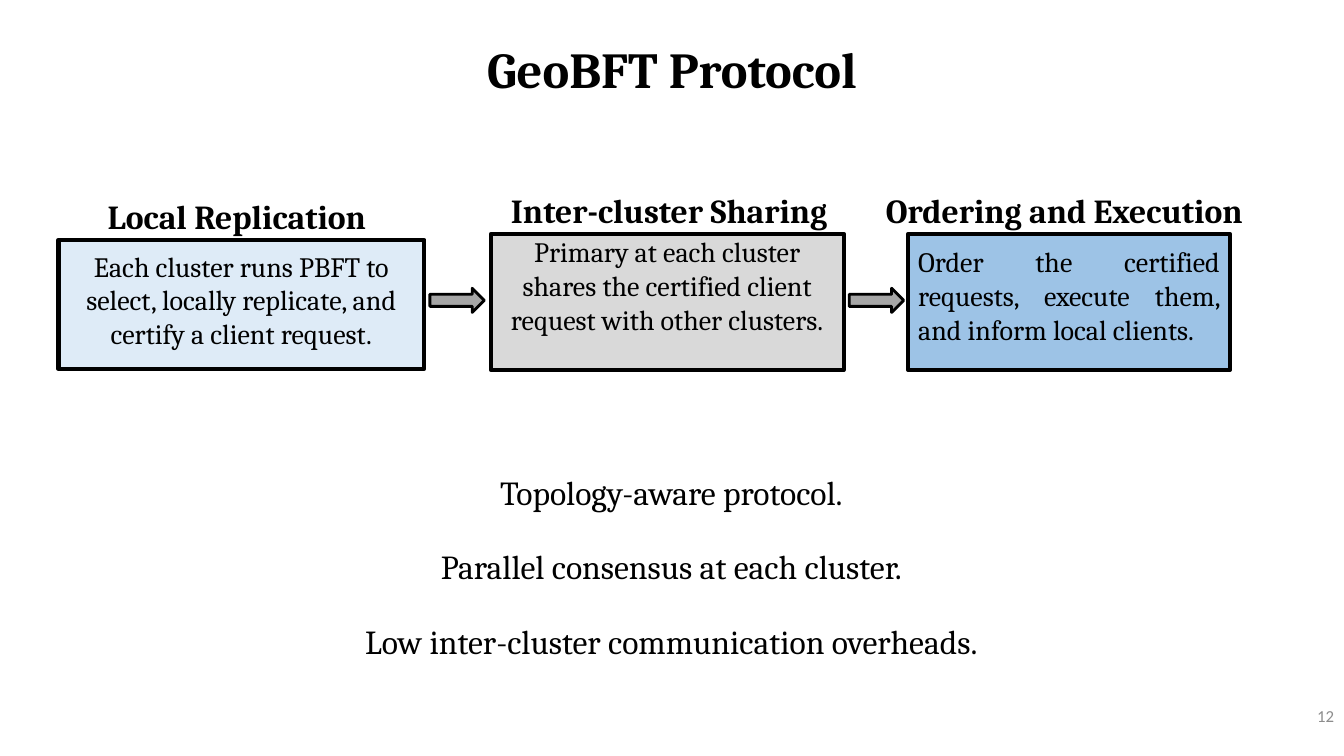
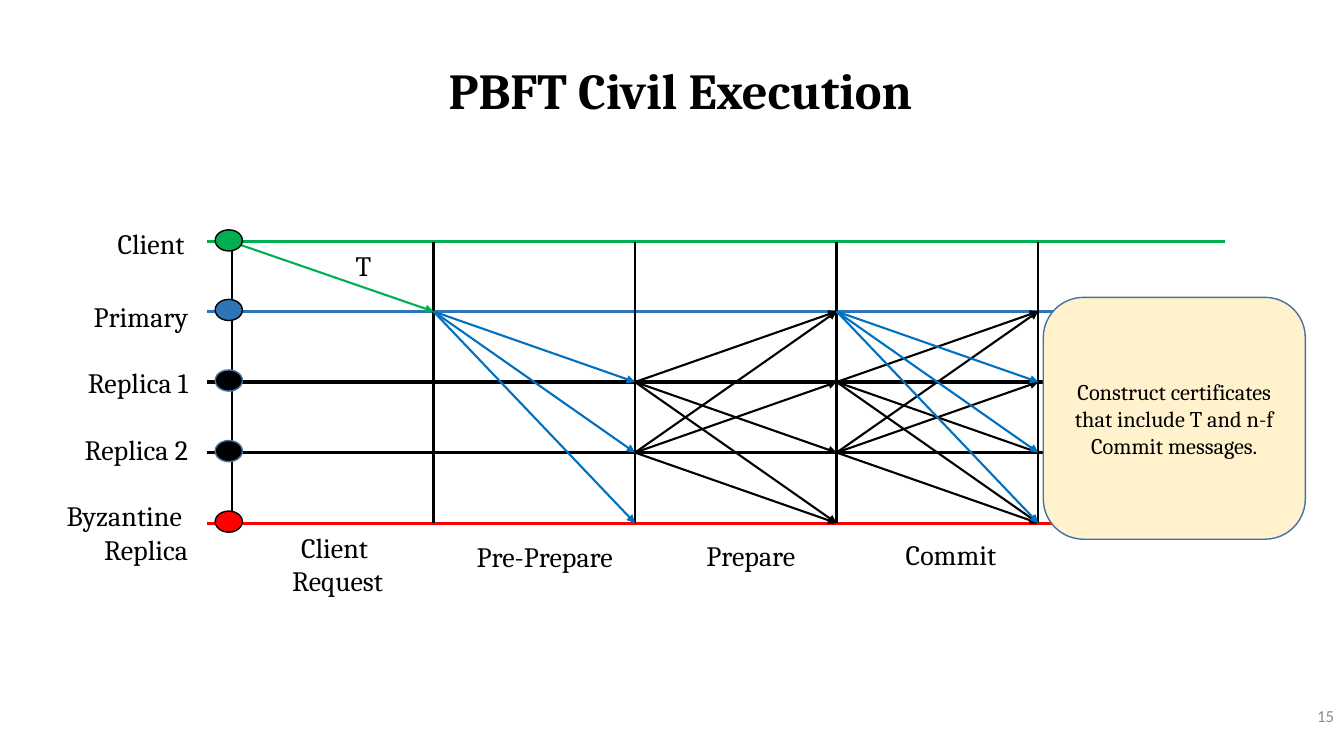
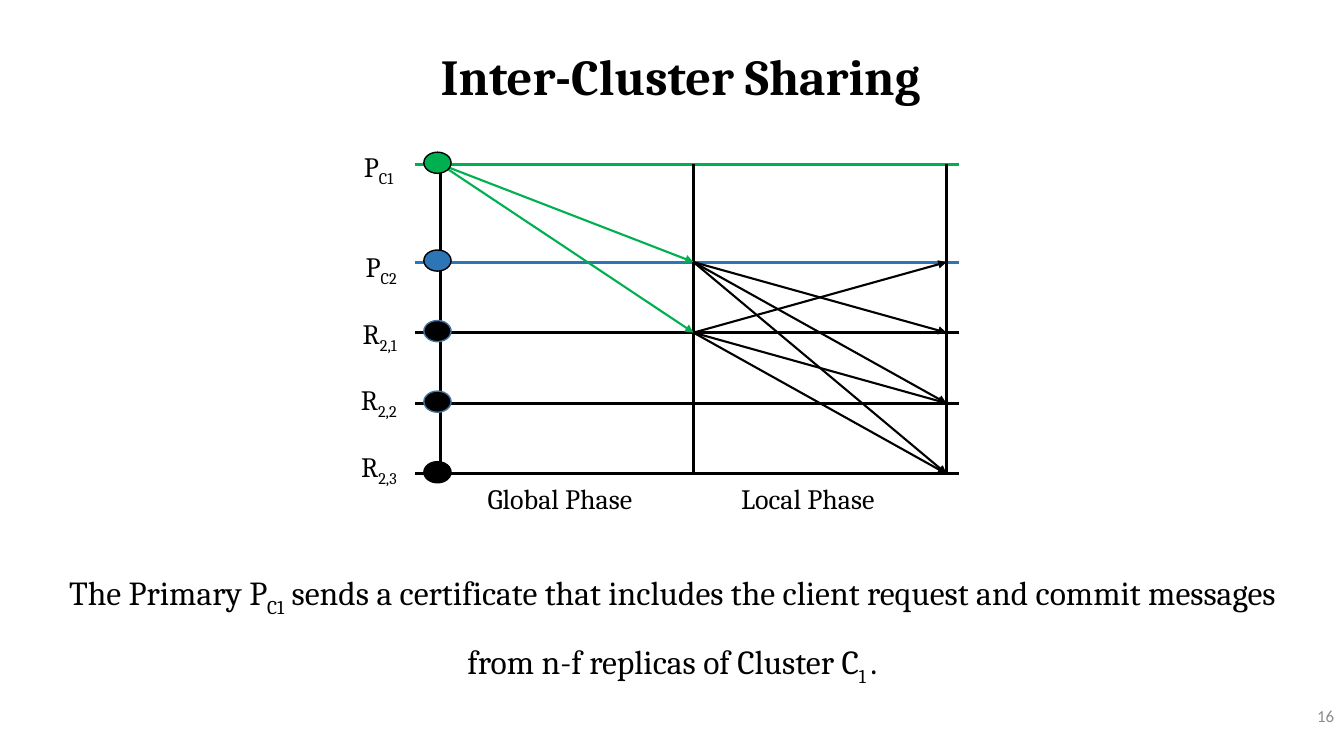
"""Build three slides on a geo-scale consensus protocol."""
from collections import namedtuple

from lxml import etree
from pptx import Presentation
from pptx.dml.color import RGBColor
from pptx.enum.shapes import MSO_CONNECTOR, MSO_SHAPE
from pptx.enum.text import MSO_ANCHOR, PP_ALIGN
from pptx.oxml.ns import qn
from pptx.util import Inches, Pt

BLACK = RGBColor(0x00, 0x00, 0x00)
GREEN = RGBColor(0x00, 0xB0, 0x50)
RED = RGBColor(0xFF, 0x00, 0x00)
LANE_BLUE = RGBColor(0x2E, 0x75, 0xB6)
MESSAGE_BLUE = RGBColor(0x00, 0x70, 0xC0)
OUTLINE_BLUE = RGBColor(0x43, 0x73, 0x9E)
PALE_BLUE = RGBColor(0xDE, 0xEB, 0xF7)
SKY_BLUE = RGBColor(0x9D, 0xC3, 0xE6)
LIGHT_GREY = RGBColor(0xD9, 0xD9, 0xD9)
ARROW_GREY = RGBColor(0xA6, 0xA6, 0xA6)
NUMBER_GREY = RGBColor(0x8C, 0x8C, 0x8C)
CREAM = RGBColor(0xFF, 0xF2, 0xCC)

LEFT, CENTER, RIGHT, JUSTIFY = PP_ALIGN.LEFT, PP_ALIGN.CENTER, PP_ALIGN.RIGHT, PP_ALIGN.JUSTIFY
TOP, MIDDLE = MSO_ANCHOR.TOP, MSO_ANCHOR.MIDDLE
RECTANGLE, ROUNDED = MSO_SHAPE.RECTANGLE, MSO_SHAPE.ROUNDED_RECTANGLE
ELLIPSE, ARROW = MSO_SHAPE.OVAL, MSO_SHAPE.RIGHT_ARROW
STRAIGHT = MSO_CONNECTOR.STRAIGHT

CELL = Inches(0.1)
COLUMNS, ROWS = 133.33, 75
LANE_STEP = 7
FIRST_PHASE = 2.5
LABEL_WIDTH, LABEL_HEIGHT = 20, 4.4
LABEL_RISES = (2, 1.7, 2.1, 2.5, 2.9)
LABEL_GAPS = (1.2, 0.85, 0.85, 0.85, 0.85)

BODY = {"name": "Cambria", "size": Pt(20)}
HEADING = {"name": "Cambria", "size": Pt(24), "bold": True}
TITLE = {"name": "Cambria", "size": Pt(36), "bold": True}
STATEMENT = {"name": "Cambria", "size": Pt(24)}
CALLOUT = {"name": "Cambria", "size": Pt(16)}
NUMBER = {"name": "Calibri", "size": Pt(12)}

Box = namedtuple("Box", "left top width height")
Lane = namedtuple("Lane", "label colour dot outline")
Phase = namedtuple("Phase", "label centre drop")
Broadcast = namedtuple("Broadcast", "phase sender receivers colour")
Stage = namedtuple("Stage", "heading text fill box indent inset align")


def cells(*counts):
    """Turn counts of grid cells into lengths."""
    return [int(CELL * count) for count in counts]


def apply(target, values):
    """Set each named attribute of the target."""
    for name, value in values.items():
        setattr(target, name, value)


def write(frame, lines, font, colour=BLACK, anchor=TOP, align=LEFT, spacing=1.0, gap=0):
    """Write lines as paragraphs; every second part between bars is a subscript."""
    apply(frame, {"word_wrap": True, "vertical_anchor": anchor})
    for index, line in enumerate(lines):
        para = frame.add_paragraph() if index else frame.paragraphs[0]
        apply(para, {"alignment": align, "line_spacing": spacing,
                     "space_before": Pt(gap if index else 0)})
        for order, part in enumerate(line.split("|")):
            span = para.add_run()
            span.text = part
            apply(span.font, font)
            span.font.color.rgb = colour
            if order % 2:
                span.font._element.set("baseline", "-25000")


def add_text(page, box, lines, font, **layout):
    """Add a text box with the given lines."""
    write(page.shapes.add_textbox(*cells(*box)).text_frame, lines, font, **layout)


def add_figure(page, kind, box, fill, outline=BLACK, weight=1):
    """Add a filled and outlined preset shape."""
    figure = page.shapes.add_shape(kind, *cells(*box))
    figure.shadow.inherit = False
    figure.fill.solid()
    figure.fill.fore_color.rgb = fill
    figure.line.color.rgb = outline
    figure.line.width = Pt(weight)
    return figure


def add_line(page, start, end, colour, weight, arrow=False):
    """Draw a straight line, with an arrowhead at its end on request."""
    line = page.shapes.add_connector(STRAIGHT, *cells(*start, *end))
    line.line.color.rgb = colour
    line.line.width = Pt(weight)
    if arrow:
        etree.SubElement(line.line._get_or_add_ln(), qn("a:tailEnd"), type="triangle")
    etree.SubElement(line._element.spPr, qn("a:effectLst"))


def add_page(deck, title, title_box, number, spacing):
    """Add a blank page with its title and page number."""
    page = deck.slides.add_slide(deck.slide_layouts[6])
    add_text(page, title_box, [title], TITLE, anchor=MIDDLE, align=CENTER, spacing=spacing)
    add_text(page, Box(COLUMNS - 17, 69, 17, 4), [str(number)], NUMBER,
             colour=NUMBER_GREY, anchor=MIDDLE, align=RIGHT)
    return page


def add_stage(page, stage):
    """Place one stage of the protocol with its heading above."""
    box = stage.box
    figure = add_figure(page, RECTANGLE, box, stage.fill, weight=3)
    figure.text_frame.margin_top = cells(stage.inset)[0]
    write(figure.text_frame, [stage.text], BODY, align=stage.align)
    add_text(page, Box(box.left + stage.indent, box.top - 4.85, 38.8, 5),
             [stage.heading], HEADING)


def add_diagram(page, box, first_gap, phase_step, lanes, phases, broadcasts):
    """Draw lanes, phase borders, messages and labels from the box's corner."""
    heights = [box.top] + [box.top + first_gap + LANE_STEP * index
                           for index in range(len(lanes) - 1)]
    borders = [box.left + FIRST_PHASE + phase_step * index
               for index in range(len(phases) + 1)]
    for lane, y, rise, gap in zip(lanes, heights, LABEL_RISES, LABEL_GAPS):
        add_line(page, (box.left, y), (box.left + box.width, y), lane.colour, 2.25)
        label_box = Box(box.left - gap - LABEL_WIDTH, y - rise, LABEL_WIDTH,
                        LABEL_HEIGHT * len(lane.label))
        add_text(page, label_box, lane.label, BODY, align=RIGHT)
    for x in borders:
        add_line(page, (x, heights[0]), (x, heights[-1]), BLACK, 1.75)
    for cast in broadcasts:
        for receiver in cast.receivers:
            if receiver != cast.sender:
                add_line(page, (borders[cast.phase], heights[cast.sender]),
                         (borders[cast.phase + 1], heights[receiver]),
                         cast.colour, 1.5, arrow=True)
    for phase in phases:
        label_box = Box(box.left + phase.centre - LABEL_WIDTH / 2,
                        heights[-1] + phase.drop, LABEL_WIDTH,
                        LABEL_HEIGHT * len(phase.label))
        add_text(page, label_box, phase.label, BODY, align=CENTER)
    for lane, y in zip(lanes, heights):
        add_figure(page, ELLIPSE, Box(box.left + 0.85, y - 1.2, 2.7, 2.1),
                   lane.dot, lane.outline)


def add_protocol_page(deck):
    """Show the three stages and the traits of the protocol."""
    page = add_page(deck, "GeoBFT Protocol", Box(0, 3.9, COLUMNS, 6.6), 12, 0.9)
    stages = [
        Stage("Local Replication",
              "Each cluster runs PBFT to select, locally replicate, and certify a client request.",
              PALE_BLUE, Box(5.8, 23.8, 36.3, 12.8), 3.9, 0.9, CENTER),
        Stage("Inter-cluster Sharing",
              "Primary at each cluster shares the certified client request with other clusters.",
              LIGHT_GREY, Box(48.7, 23.2, 35, 13.5), 1, 0.1, CENTER),
        Stage("Ordering and Execution",
              "Order the certified requests, execute them, and inform local clients.",
              SKY_BLUE, Box(90.1, 23.2, 31.9, 13.5), -3.2, 1.1, JUSTIFY),
    ]
    for stage in stages:
        add_stage(page, stage)
    for stage in stages[:-1]:
        right = stage.box.left + stage.box.width
        add_figure(page, ARROW, Box(right + 0.55, 28.6, 5.4, 2.4), ARROW_GREY, weight=2)
    traits = ["Topology-aware protocol.", "Parallel consensus at each cluster.",
              "Low inter-cluster communication overheads."]
    add_text(page, Box(3.4, 44.3, 126.4, 21.4), traits, STATEMENT,
             align=CENTER, spacing=1.5, gap=10)


def add_execution_page(deck):
    """Show the message flow of one PBFT round."""
    page = add_page(deck, "PBFT Civil Execution", Box(10, 4.4, 115, 7.8), 15, 1.2)
    lanes = [
        Lane(["Client"], GREEN, GREEN, BLACK),
        Lane(["Primary"], LANE_BLUE, LANE_BLUE, BLACK),
        Lane(["Replica 1"], BLACK, BLACK, OUTLINE_BLUE),
        Lane(["Replica 2"], BLACK, BLACK, OUTLINE_BLUE),
        Lane(["Byzantine ", "Replica"], RED, RED, BLACK),
    ]
    phases = [
        Phase(["Client ", "Request"], 13, 0.2),
        Phase(["Pre-Prepare "], 33.85, 1.1),
        Phase(["Prepare "], 54.3, 1),
        Phase(["Commit "], 74.15, 0.9),
    ]
    replicas = range(1, len(lanes))
    broadcasts = [Broadcast(0, 0, [1], GREEN), Broadcast(1, 1, replicas, MESSAGE_BLUE)]
    broadcasts += [Broadcast(phase, sender, replicas, BLACK)
                   for phase in (2, 3) for sender in (2, 3)]
    broadcasts.append(Broadcast(3, 1, replicas, MESSAGE_BLUE))
    add_diagram(page, Box(20.5, 24, 101, 27.9), 6.9, 20, lanes, phases, broadcasts)
    add_text(page, Box(34.3, 24.2, 3.7, LABEL_HEIGHT), ["T"], BODY)
    callout = add_figure(page, ROUNDED, Box(103.5, 29.5, 26, 24), CREAM, OUTLINE_BLUE)
    write(callout.text_frame,
          ["Construct certificates that include T and n-f Commit messages."],
          CALLOUT, anchor=MIDDLE, align=CENTER)


def add_sharing_page(deck):
    """Show how one cluster shares its certificate with another."""
    page = add_page(deck, "Inter-Cluster Sharing", Box(10, 3, 115, 7.8), 16, 1.2)
    lanes = [
        Lane(["P|C1"], GREEN, GREEN, BLACK),
        Lane(["P|C2"], LANE_BLUE, LANE_BLUE, BLACK),
        Lane(["R|2,1"], BLACK, BLACK, OUTLINE_BLUE),
        Lane(["R|2,2"], BLACK, BLACK, OUTLINE_BLUE),
        Lane(["R|2,3"], BLACK, BLACK, BLACK),
    ]
    phases = [Phase(["Global Phase"], 14.35, 0.3), Phase(["Local Phase"], 38.95, 0.3)]
    replicas = range(1, len(lanes))
    broadcasts = [Broadcast(0, 0, [1, 2], GREEN)]
    broadcasts += [Broadcast(1, sender, replicas, BLACK) for sender in (1, 2)]
    add_diagram(page, Box(41.2, 16.3, 53.9, 30.7), 9.7, 25.1, lanes, phases, broadcasts)
    add_text(page, Box(3.5, 54, 126.4, 12.5),
             ["The Primary P|C1| sends a certificate that includes the client request "
              "and commit messages from n-f replicas of Cluster C|1 |."],
             STATEMENT, align=CENTER, spacing=1.5)


def main():
    """Build and save the deck."""
    deck = Presentation()
    deck.slide_width, deck.slide_height = cells(COLUMNS, ROWS)
    add_protocol_page(deck)
    add_execution_page(deck)
    add_sharing_page(deck)
    deck.save("out.pptx")


if __name__ == "__main__":
    main()
